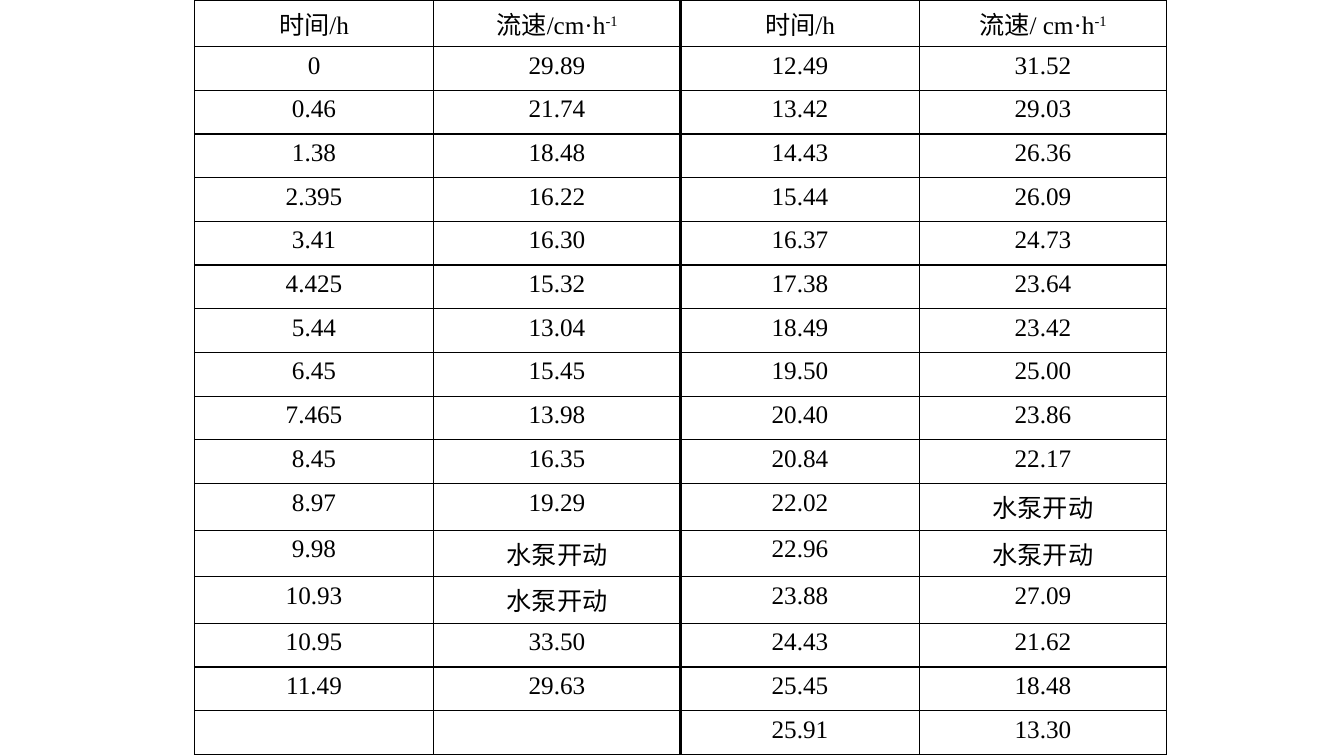
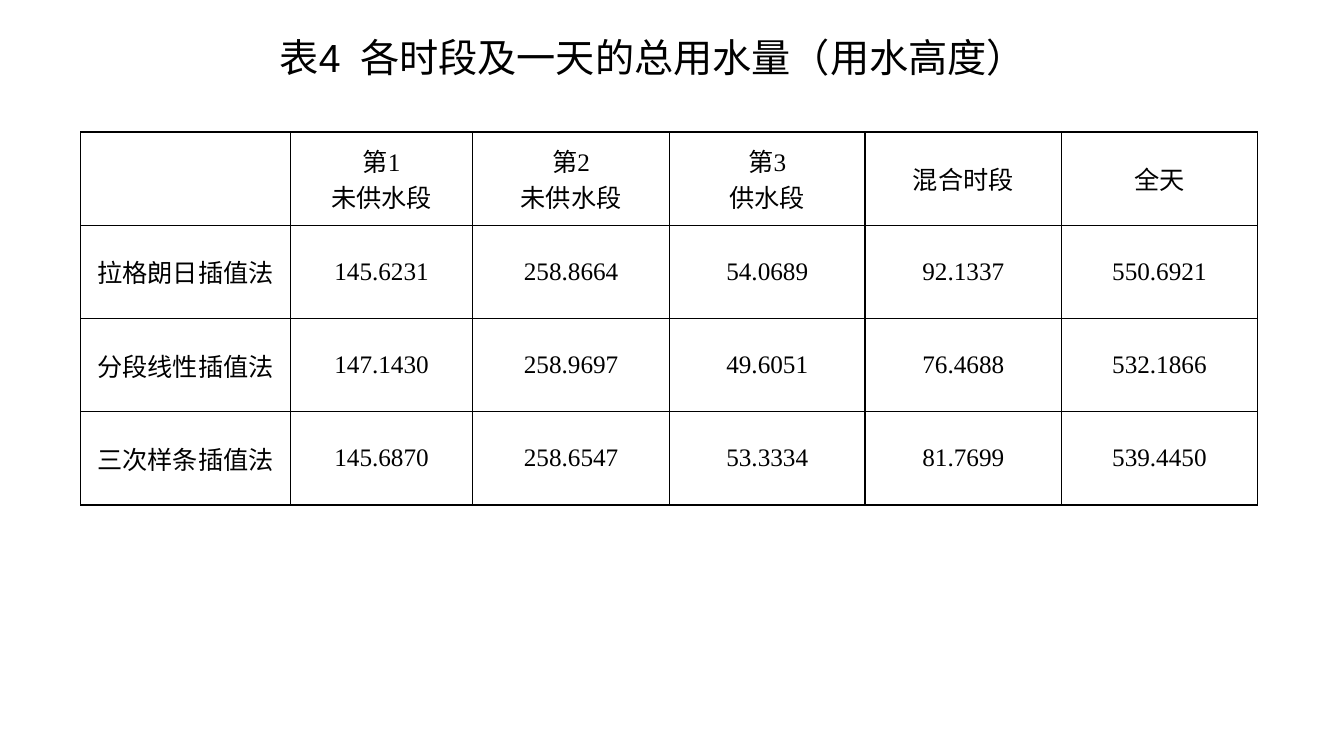
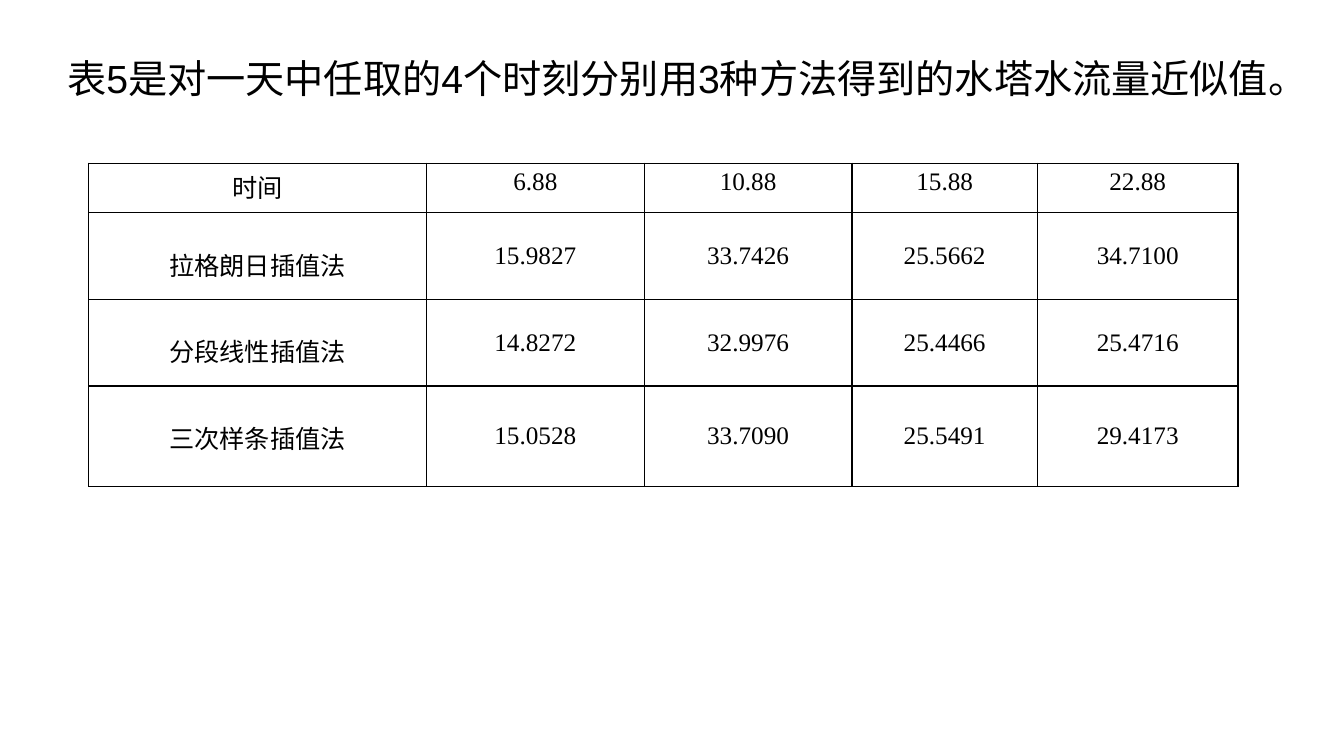
from dataclasses import dataclass

from lxml import etree
from pptx import Presentation
from pptx.dml.color import RGBColor
from pptx.enum.text import MSO_ANCHOR, MSO_AUTO_SIZE, PP_ALIGN
from pptx.oxml.ns import qn
from pptx.util import Inches, Pt


@dataclass(frozen=True)
class Theme:
    ink: str = "000000"
    title_font: str = "Arial"
    title_size: int = 28
    table_font: str = "Times New Roman"
    table_size: int = 18
    thin: int = 1
    thick: int = 2


class Deck:
    def __init__(self, theme):
        self.theme = theme
        self.prs = Presentation()
        self.prs.slide_width = Inches(13.33)
        self.prs.slide_height = Inches(7.5)
        self.slide = None

    def new_slide(self):
        self.slide = self.prs.slides.add_slide(self.prs.slide_layouts[6])

    def style(self, run, font, size):
        run.font.name = font
        run.font.size = Pt(size)
        run.font.color.rgb = RGBColor.from_string(self.theme.ink)

    def title(self, text, left, top, width, align, indent=0):
        box = self.slide.shapes.add_textbox(
            Inches(left), Inches(top), Inches(width), Inches(0.57))
        frame = box.text_frame
        frame.word_wrap = True
        frame.auto_size = MSO_AUTO_SIZE.SHAPE_TO_FIT_TEXT
        frame.vertical_anchor = MSO_ANCHOR.MIDDLE
        paragraph = frame.paragraphs[0]
        paragraph.alignment = align
        if indent:
            properties = paragraph._p.get_or_add_pPr()
            properties.set("marL", "0")
            properties.set("indent", str(Inches(indent)))
        run = paragraph.add_run()
        run.text = text
        self.style(run, self.theme.title_font, self.theme.title_size)

    def borders(self, cell, widths):
        properties = cell._tc.get_or_add_tcPr()
        for side in "LRTB":
            width = widths.get(side, self.theme.thin)
            line = etree.SubElement(
                properties, qn(f"a:ln{side}"), w=str(Pt(width)))
            fill = etree.SubElement(line, qn("a:solidFill"))
            etree.SubElement(fill, qn("a:srgbClr"), val=self.theme.ink)

    def fill_cell(self, cell, text):
        frame = cell.text_frame
        for index, line in enumerate(text.split("\n")):
            paragraph = frame.add_paragraph() if index else frame.paragraphs[0]
            paragraph.alignment = PP_ALIGN.CENTER
            base, _, exponent = line.partition("^")
            for part, raised in ((base, False), (exponent, True)):
                if part:
                    run = paragraph.add_run()
                    run.text = part
                    self.style(run, self.theme.table_font, self.theme.table_size)
                    if raised:
                        run.font._element.set("baseline", "30000")

    def table(self, left, top, columns, heights, rows, anchor, thick_after=None):
        frame = self.slide.shapes.add_table(
            len(rows), len(columns), Inches(left), Inches(top),
            Inches(sum(columns)), Inches(sum(heights)))
        table = frame.table
        table.first_row = table.horz_banding = False
        for column, width in zip(table.columns, columns):
            column.width = Inches(width)
        for row, height in zip(table.rows, heights):
            row.height = Inches(height)
        for r, values in enumerate(rows):
            for c, text in enumerate(values):
                cell = table.cell(r, c)
                cell.vertical_anchor = anchor
                self.fill_cell(cell, text)
                widths = {}
                if thick_after is not None:
                    if c == thick_after:
                        widths["R"] = self.theme.thick
                    elif c == thick_after + 1:
                        widths["L"] = self.theme.thick
                self.borders(cell, widths)
                cell.fill.background()
        return table


METHODS = ("拉格朗日插值法", "分段线性插值法", "三次样条插值法")
PUMP = "水泵开动"

deck = Deck(Theme())

deck.new_slide()
early_flow = [
    ("时间/h", "流速/cm·h^-1"), ("0", "29.89"), ("0.46", "21.74"),
    ("1.38", "18.48"), ("2.395", "16.22"), ("3.41", "16.30"),
    ("4.425", "15.32"), ("5.44", "13.04"), ("6.45", "15.45"),
    ("7.465", "13.98"), ("8.45", "16.35"), ("8.97", "19.29"),
    ("9.98", PUMP), ("10.93", PUMP), ("10.95", "33.50"),
    ("11.49", "29.63"), ("", ""),
]
late_flow = [
    ("时间/h", "流速/ cm·h^-1"), ("12.49", "31.52"), ("13.42", "29.03"),
    ("14.43", "26.36"), ("15.44", "26.09"), ("16.37", "24.73"),
    ("17.38", "23.64"), ("18.49", "23.42"), ("19.50", "25.00"),
    ("20.40", "23.86"), ("20.84", "22.17"), ("22.02", PUMP),
    ("22.96", PUMP), ("23.88", "27.09"), ("24.43", "21.62"),
    ("25.45", "18.48"), ("25.91", "13.30"),
]
flow_rows = [early + late for early, late in zip(early_flow, late_flow)]
deck.table(1.93, 0, [2.37, 2.45] * 2, [7.37 / len(flow_rows)] * len(flow_rows),
           flow_rows, MSO_ANCHOR.TOP, thick_after=1)

deck.new_slide()
deck.title("表4\u2002各时段及一天的总用水量（用水高度）",
           2.66, 0.28, 7.63, PP_ALIGN.CENTER)
usage = [
    ("145.6231", "258.8664", "54.0689", "92.1337", "550.6921"),
    ("147.1430", "258.9697", "49.6051", "76.4688", "532.1866"),
    ("145.6870", "258.6547", "53.3334", "81.7699", "539.4450"),
]
usage_header = ("", "第1\n未供水段", "第2\n未供水段", "第3\n供水段", "混合时段", "全天")
deck.table(0.8, 1.31, [2.08, 1.81, 1.95, 1.94, 1.95, 1.94], [3.7 / 4] * 4,
           [usage_header] + [(m, *v) for m, v in zip(METHODS, usage)],
           MSO_ANCHOR.MIDDLE)

deck.new_slide()
deck.title("表5是对一天中任取的4个时刻分别用3种方法得到的水塔水流量近似值。",
           0.46, 0.49, 12.26, PP_ALIGN.LEFT, indent=0.11)
estimates = [
    ("15.9827", "33.7426", "25.5662", "34.7100"),
    ("14.8272", "32.9976", "25.4466", "25.4716"),
    ("15.0528", "33.7090", "25.5491", "29.4173"),
]
estimate_header = ("时间", "6.88", "10.88", "15.88", "22.88")
estimate_table = deck.table(
    0.88, 1.62, [3.35, 2.16, 2.06, 1.84, 1.99], [0.49, 0.86, 0.86, 1.0],
    [estimate_header] + [(m, *v) for m, v in zip(METHODS, estimates)],
    MSO_ANCHOR.MIDDLE)
for column in range(len(estimate_header)):
    estimate_table.cell(0, column).vertical_anchor = MSO_ANCHOR.TOP
for row in range(1, len(METHODS) + 1):
    method_cell = estimate_table.cell(row, 0)
    method_cell.vertical_anchor = MSO_ANCHOR.TOP
    method_cell.margin_top = Inches(0.33)

deck.prs.save("out.pptx")
